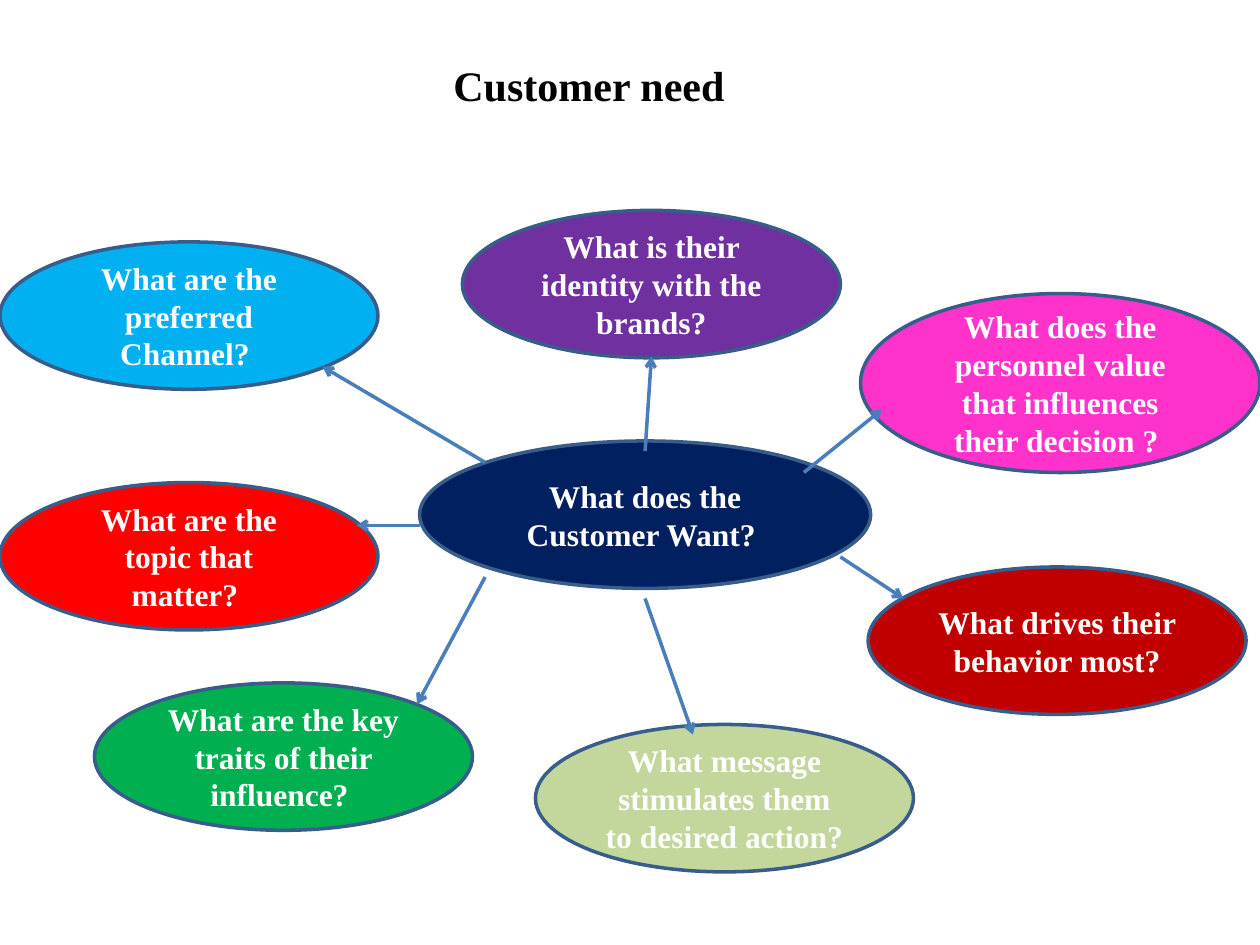
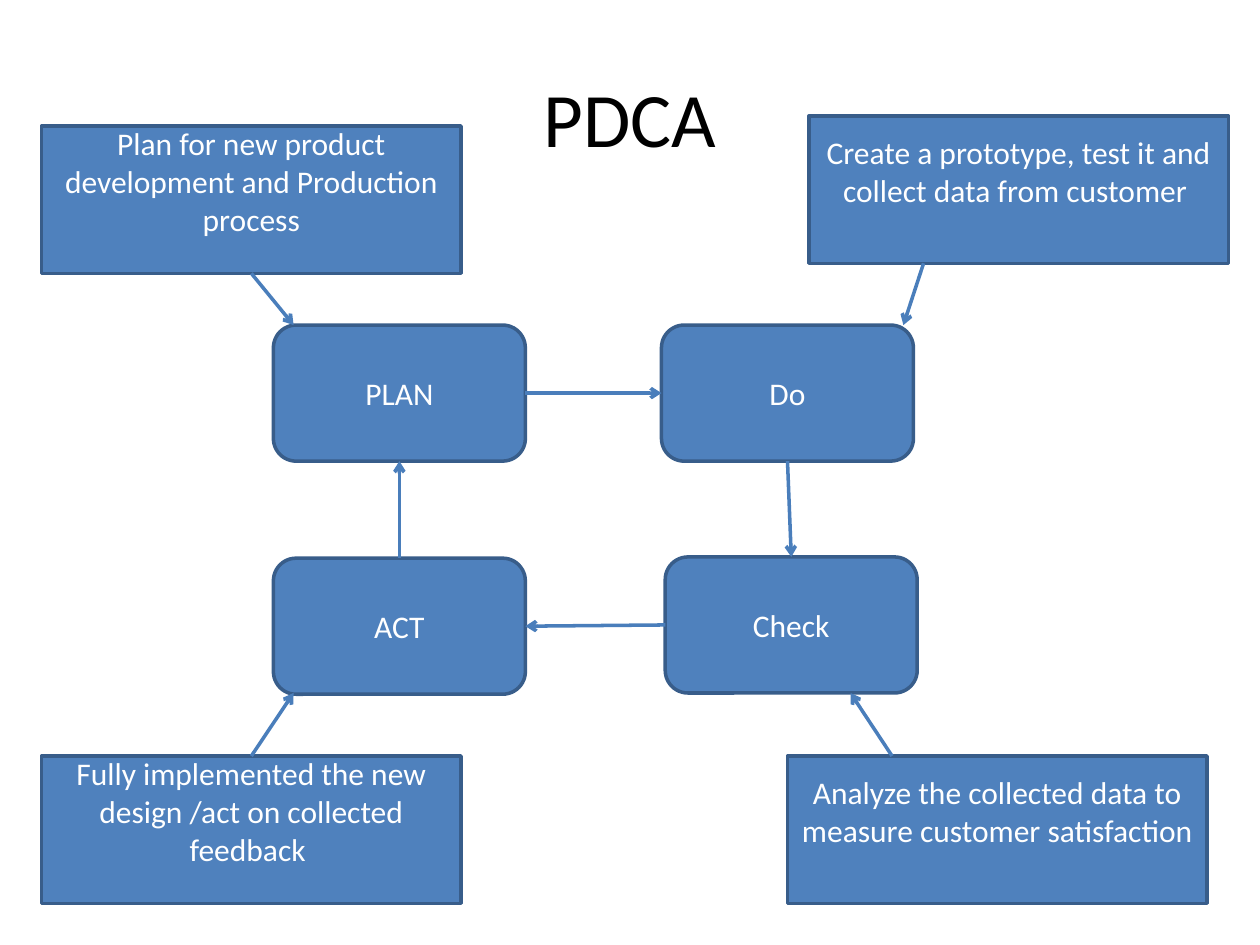
from pptx import Presentation
from pptx.dml.color import RGBColor
from pptx.enum.shapes import MSO_CONNECTOR, MSO_SHAPE
from pptx.enum.text import MSO_ANCHOR, PP_ALIGN
from pptx.oxml.ns import qn
from pptx.util import Inches, Pt
from lxml import etree

OVAL, RECT, ROUND = MSO_SHAPE.OVAL, MSO_SHAPE.RECTANGLE, MSO_SHAPE.ROUNDED_RECTANGLE
LINE = MSO_CONNECTOR.STRAIGHT
MIDDLE, TOP = MSO_ANCHOR.MIDDLE, MSO_ANCHOR.TOP
LEFT, CENTER = PP_ALIGN.LEFT, PP_ALIGN.CENTER
UP, WEST, DOWN, EAST = range(4)

SERIF, SANS = "Times New Roman", "Calibri"
COLORS = {
    "text": "000000", "white": "FFFFFF", "edge": "385D8A", "arrow": "4A7EBB",
    "blue": "4F81BD", "navy": "002060", "sky": "00B0F0", "purple": "7030A0",
    "pink": "FF33CC", "red": "FF0000", "green": "00B050", "olive": "C3D69B",
    "maroon": "C00000",
}


def color(name):
    return RGBColor.from_string(COLORS[name])


def write(shape, text, font, size, hue, bold=False, align=CENTER, anchor=MIDDLE):
    frame = shape.text_frame
    frame.word_wrap = True
    frame.vertical_anchor = anchor
    para = frame.paragraphs[0]
    para.text = text
    para.alignment = align
    para.font.name, para.font.size, para.font.bold = font, Pt(size), bold
    para.font.color.rgb = color(hue)


def title(slide, box, text, font, size, **style):
    write(slide.shapes.add_textbox(*map(Inches, box)), text, font, size, "text", **style)


def node(shapes, kind, box, text, hue="blue", font=SANS, bold=False):
    shape = shapes.add_shape(kind, *map(Inches, box))
    shape.shadow.inherit = False
    shape.fill.solid()
    shape.fill.fore_color.rgb = color(hue)
    shape.line.color.rgb = color("edge")
    shape.line.width = Pt(2)
    write(shape, text, font, 18, "white", bold)
    return shape


def arrow(shapes, start=(0, 0), end=(0, 0)):
    line = shapes.add_connector(LINE, *map(Inches, (*start, *end)))
    line.line.color.rgb = color("arrow")
    line.line.width = Pt(2)
    props = line._element.spPr
    etree.SubElement(props.find(qn("a:ln")), qn("a:tailEnd"), type="arrow")
    etree.SubElement(props, qn("a:effectLst"))
    return line


# Hub with questions around it; arrows run from the hub to each question
def web(slide, x, y):
    hub = (3.33, 1.83, 3.58, 1.17, "navy", "What does the Customer Want? ")
    asks = [
        (0, 0.25, 3, 1.17, "sky", "What are the preferred Channel? "),
        (3.67, 0, 3, 1.17, "purple", "What is their identity with the brands?"),
        (6.83, 0.66, 3.17, 1.42, "pink",
         "What does the personnel value that influences their decision ? "),
        (0, 2.16, 3, 1.17, "red", "What are the topic that matter? "),
        (0.75, 3.75, 3, 1.17, "green", "What are the key traits of their influence? "),
        (4.25, 4.08, 3, 1.17, "olive", "What message stimulates them to desired action? "),
        (6.89, 2.83, 3, 1.17, "maroon", "What drives their behavior most?"),
    ]
    rays = [
        (3.85, 2, 2.56, 1.24), (5.12, 1.91, 5.17, 1.16), (6.38, 2.08, 7, 1.58),
        (6.67, 2.75, 7.17, 3.08), (5.12, 3.08, 5.5, 4.16),
        (3.85, 2.91, 3.31, 3.92), (3.33, 2.5, 2.83, 2.5),
    ]
    for dx, dy, w, h, hue, text in [hub, *asks]:
        node(slide.shapes, OVAL, (x + dx, y + dy, w, h), text, hue, SERIF, True)
    for ax, ay, bx, by in rays:
        arrow(slide.shapes, (x + ax, y + ay), (x + bx, y + by))


# Four steps joined clockwise in one group
def cycle(slide, x, y):
    shapes = slide.shapes.add_group_shape().shapes
    places = [("PLAN", 0, 0), ("Do", 3.08, 0), ("Check", 3.11, 1.84), ("ACT", 0, 1.85)]
    steps = [node(shapes, ROUND, (x + dx, y + dy, 2, 1.08), text)
             for text, dx, dy in places]
    sides = [(EAST, WEST), (DOWN, UP), (WEST, EAST), (UP, DOWN)]
    for i, (out, into) in enumerate(sides):
        line = arrow(shapes)
        line.begin_connect(steps[i], out)
        line.end_connect(steps[(i + 1) % len(steps)], into)


# Note with an arrow to its step; a side joins the arrow to the note's middle
def note(slide, x, y, text, start, end, side=None):
    box = node(slide.shapes, RECT, (x, y, 3.33, 1.17), text)
    box.text_frame.margin_bottom = Inches(0.35)
    line = arrow(slide.shapes, (x + start[0], y + start[1]), (x + end[0], y + end[1]))
    if side is not None:
        line.begin_connect(box, side)


def need(slide):
    title(slide, (3.5, 0.42, 4.25, 0.5), "Customer need", SERIF, 24,
          bold=True, align=LEFT, anchor=TOP)
    web(slide, 0, 1.67)


def pdca(slide):
    title(slide, (0.5, 0.3, 9, 1.25), "PDCA", SANS, 44)
    cycle(slide, 2.17, 2.58)
    note(slide, 0.33, 1, "Plan for new product development and Production process",
         (1.67, 1.17), (2, 1.58), DOWN)
    note(slide, 6.42, 0.92, "Create a prototype, test it and collect data from customer ",
         (0.91, 1.17), (0.75, 1.66))
    note(slide, 6.25, 6, "Analyze the collected data to measure customer satisfaction ",
         (0.83, 0), (0.5, -0.5))
    note(slide, 0.33, 6, "Fully implemented the new design /act on collected feedback ",
         (1.67, 0), (2, -0.5), UP)


def main():
    deck = Presentation()
    deck.slide_width, deck.slide_height = Inches(10), Inches(7.5)
    for build in (need, pdca):
        build(deck.slides.add_slide(deck.slide_layouts[6]))
    deck.save("out.pptx")


if __name__ == "__main__":
    main()
